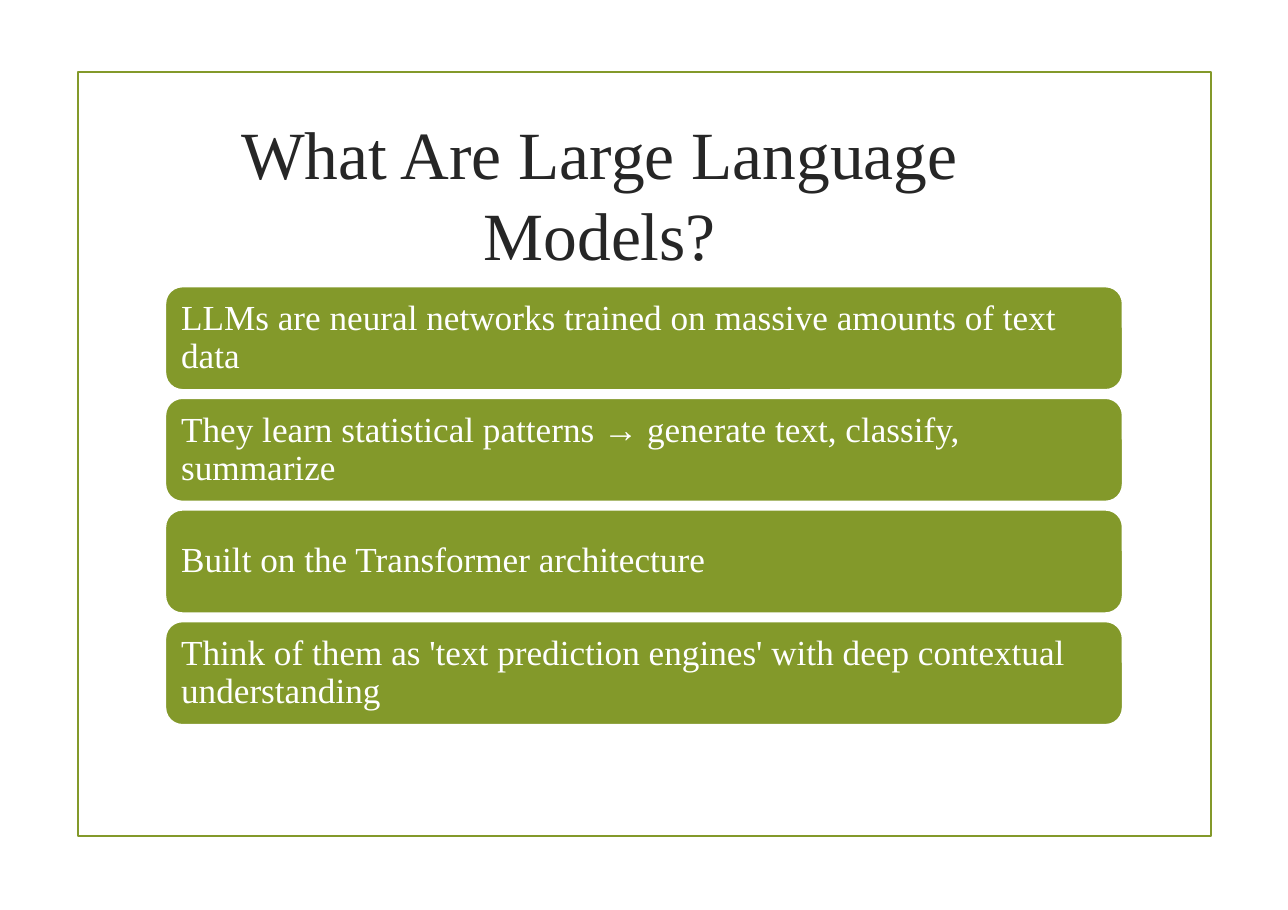
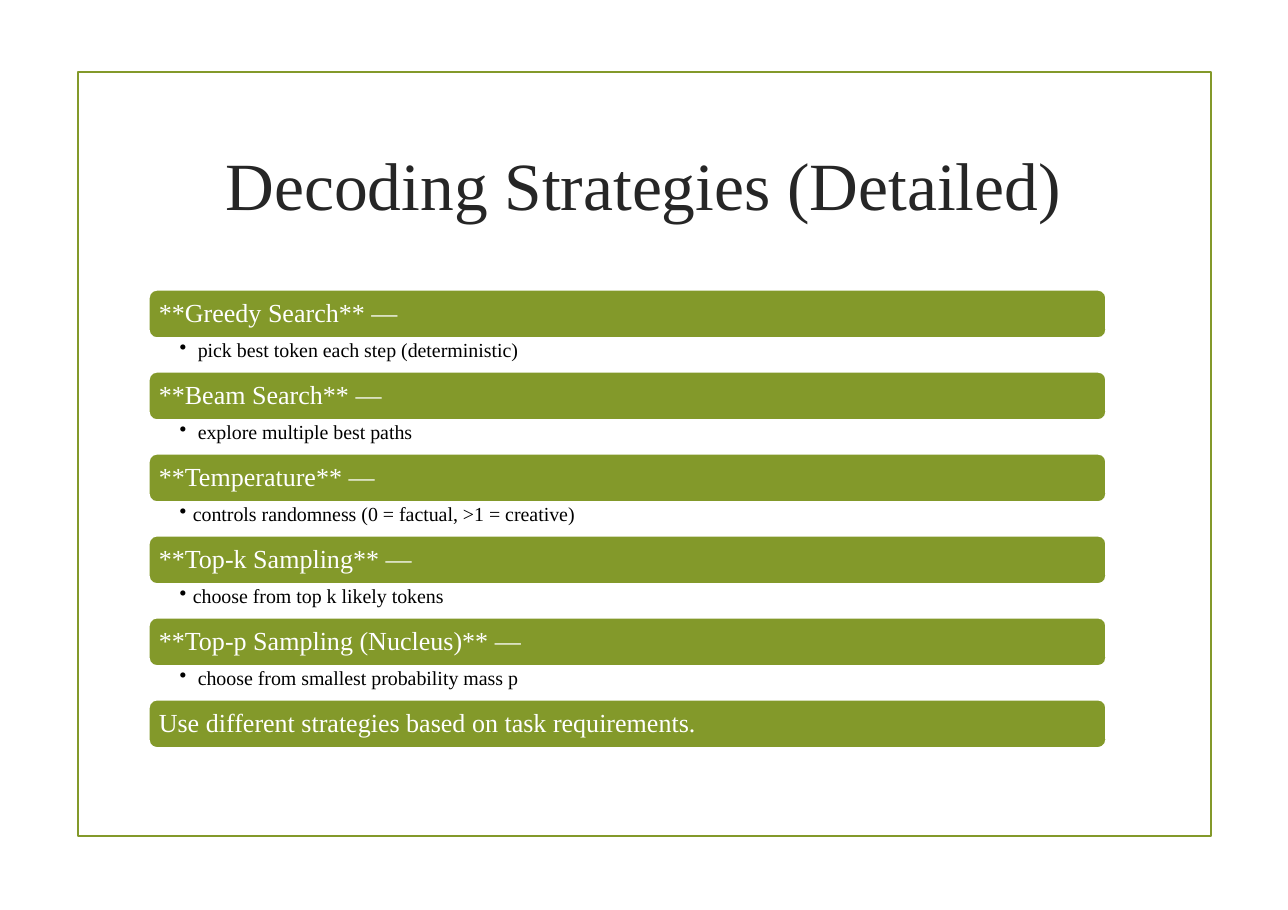
from dataclasses import dataclass

from pptx import Presentation
from pptx.dml.color import RGBColor
from pptx.enum import shapes, text
from pptx.oxml import ns, xmlchemy
from pptx.util import Inches, Pt

# Shared look
GREEN, WHITE, BLACK, TITLE_GREY = "83992A", "FFFFFF", "000000", "262626"
FONT = "Times New Roman"
COLUMN_WIDTH = 8.69


@dataclass(frozen=True)
class Topic:
    heading: str
    detail: str = ""


@dataclass(frozen=True)
class BarStack:
    left: float
    first_top: float
    last_top: float
    bar_height: float
    margin: float
    size: float


FACTS = [
    Topic("LLMs are neural networks trained on massive amounts of text data"),
    Topic("They learn statistical patterns → generate text, classify, summarize"),
    Topic("Built on the Transformer architecture"),
    Topic("Think of them as 'text prediction engines' with deep contextual understanding"),
]
STRATEGIES = [
    Topic("**Greedy Search** —", " pick best token each step (deterministic)"),
    Topic("**Beam Search** —", " explore multiple best paths"),
    Topic("**Temperature** —", "controls randomness (0 = factual, >1 = creative)"),
    Topic("**Top-k Sampling** —", "choose from top k likely tokens"),
    Topic("**Top-p Sampling (Nucleus)** —", " choose from smallest probability mass p"),
    Topic("Use different strategies based on task requirements."),
]


def rgb(colour: str) -> RGBColor:
    return RGBColor.from_string(colour)


def write(shape, words: str, *, size: float, colour: str, align=text.PP_ALIGN.LEFT,
          anchor=text.MSO_ANCHOR.MIDDLE, margins=(0.1, 0.05, 0.1, 0.05),
          spacing: float = 1.0, bullet: bool = False) -> None:
    """Fill a shape with one formatted paragraph; margins run left, top, right, bottom."""
    frame = shape.text_frame
    frame.word_wrap = True
    frame.vertical_anchor = anchor
    (frame.margin_left, frame.margin_top,
     frame.margin_right, frame.margin_bottom) = map(Inches, margins)
    paragraph = frame.paragraphs[0]
    paragraph.alignment = align
    paragraph.line_spacing = spacing
    run = paragraph.add_run()
    run.text = words
    run.font.name = FONT
    run.font.size = Pt(size)
    run.font.color.rgb = rgb(colour)
    if bullet:
        paragraph.level = 1
        properties = paragraph._p.get_or_add_pPr()
        properties.set("marL", str(Inches(0.12)))
        properties.set("indent", str(-Inches(0.12)))
        mark = xmlchemy.OxmlElement("a:buChar")
        mark.set("char", "•")
        properties.append(mark)


def add_box(slide, kind, left: float, top: float, width: float, height: float,
            *, fill: str = "", line: str):
    box = slide.shapes.add_shape(kind, *map(Inches, (left, top, width, height)))
    box.shadow.inherit = False
    if fill:
        box.fill.solid()
        box.fill.fore_color.rgb = rgb(fill)
    else:
        box.fill.background()
    box.line.color.rgb = rgb(line)
    box.line.width = Pt(1.25)
    return box


def add_text(slide, words: str, left: float, top: float, height: float, **style) -> None:
    area = slide.shapes.add_textbox(*map(Inches, (left, top, COLUMN_WIDTH, height)))
    write(area, words, **style)


def add_framed_slide(deck, title: str, left: float, top: float):
    slide = deck.slides.add_slide(deck.slide_layouts[6])
    add_box(slide, shapes.MSO_SHAPE.RECTANGLE, 0.71, 0.65, 10.28, 6.94, line=GREEN)
    add_text(slide, title, left, top, 1.57, size=44.1, colour=TITLE_GREY,
             align=text.PP_ALIGN.CENTER)
    return slide


def add_stack(slide, topics: list[Topic], stack: BarStack) -> None:
    pitch = (stack.last_top - stack.first_top) / (len(topics) - 1)
    for row, topic in enumerate(topics):
        top = stack.first_top + row * pitch
        bar = add_box(slide, shapes.MSO_SHAPE.ROUNDED_RECTANGLE, stack.left, top,
                      COLUMN_WIDTH, stack.bar_height, fill=GREEN, line=WHITE)
        write(bar, topic.heading, size=stack.size, colour=WHITE,
              margins=(stack.margin,) * 4, spacing=0.9)
        if topic.detail:
            add_text(slide, topic.detail, stack.left, top + stack.bar_height,
                     pitch - stack.bar_height, size=13, colour=BLACK,
                     anchor=text.MSO_ANCHOR.TOP, margins=(0.28, 0.02, 0.13, 0.02),
                     spacing=0.9, bullet=True)


def main() -> None:
    deck = Presentation()
    deck.slide_width, deck.slide_height = Inches(11.69), Inches(8.26)

    # Introduction to language models
    models = add_framed_slide(deck, "What Are Large Language Models?", 1.1, 0.97)
    add_stack(models, FACTS, BarStack(1.5, 2.6, 5.64, 0.94, 0.1, 23))

    # Decoding strategies with a detail under each bar
    decoding = add_framed_slide(deck, "Decoding Strategies (Detailed)", 1.5, 0.88)
    add_stack(decoding, STRATEGIES, BarStack(1.35, 2.63, 6.35, 0.44, 0.07, 17))

    deck.save("out.pptx")


if __name__ == "__main__":
    main()
